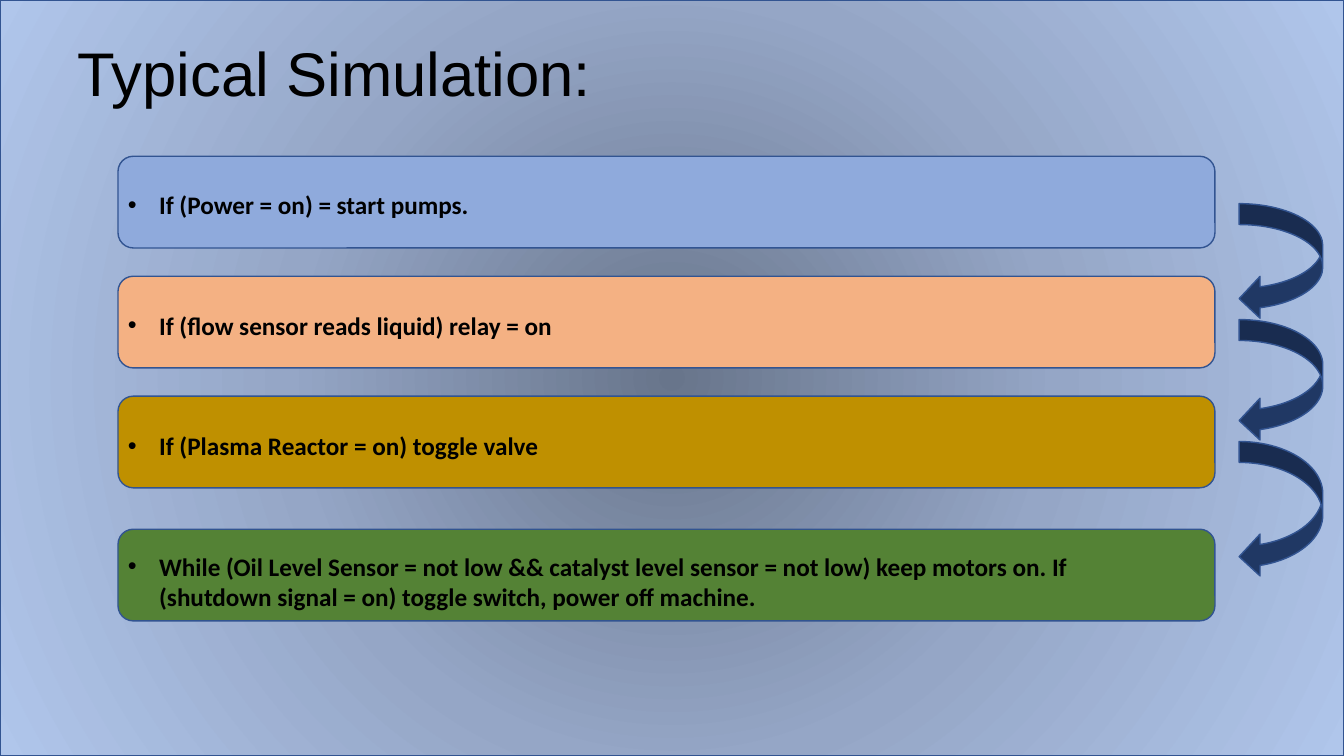
from lxml.etree import SubElement
from pptx import Presentation
from pptx.dml.color import RGBColor
from pptx.enum.shapes import MSO_SHAPE
from pptx.enum.text import MSO_ANCHOR, PP_ALIGN
from pptx.oxml import parse_xml
from pptx.oxml.ns import nsdecls, qn
from pptx.util import Inches, Pt

HEADING = "Typical Simulation:"
STEPS = [
    {"text": "If (Power = on) = start pumps.", "color": "8FAADC", "top": 1.55},
    {"text": "If (flow sensor reads liquid) relay = on", "color": "F4B183", "top": 2.74},
    {"text": "If (Plasma Reactor = on) toggle valve", "color": "BF9000", "top": 3.93},
    {
        "text": "While (Oil Level Sensor = not low && catalyst level sensor = not low) "
                "keep motors on. If (shutdown signal = on) toggle switch, power off machine.",
        "color": "548235",
        "top": 5.25,
    },
]
ARROW_EDGES = [2.02, 3.17, 4.38, 5.73]
THEME = {
    "outline": "325491",
    "arrow": "203864",
    "ink": "000000",
    "glow": [(0, "68758B"), (50, "95A6C6"), (100, "B0C6EB")],
    "heading": {"name": "Arial", "size": Pt(44), "bold": False},
    "step": {"name": "Calibri", "size": Pt(18), "bold": True},
}
SLIDE_SIZE = (13.33, 7.5)
CARD_LEFT, CARD_WIDTH, CARD_HEIGHT = 1.17, 10.88, 0.91
STEP_GAP = Pt(64.5)


def set_all(target, values):
    for attribute, value in values.items():
        setattr(target, attribute, value)


def style_font(font, values):
    set_all(font, values)
    font.color.rgb = RGBColor.from_string(THEME["ink"])


def add_block(slide, preset, box, color):
    block = slide.shapes.add_shape(preset, *map(Inches, box))
    block.shadow.inherit = False
    block.fill.solid()
    block.fill.fore_color.rgb = RGBColor.from_string(color)
    block.line.color.rgb = RGBColor.from_string(THEME["outline"])
    block.line.width = Pt(1)
    return block


def apply_glow(block):
    stops = "".join(
        f'<a:gs pos="{position * 1000}"><a:srgbClr val="{color}"/></a:gs>'
        for position, color in THEME["glow"]
    )
    gradient = parse_xml(
        f'<a:gradFill {nsdecls("a")} rotWithShape="1"><a:gsLst>{stops}</a:gsLst>'
        '<a:path path="circle"><a:fillToRect l="50000" t="50000" r="50000" b="50000"/>'
        "</a:path></a:gradFill>"
    )
    properties = block._element.spPr
    properties.replace(properties.find(qn("a:solidFill")), gradient)


def add_bullet(paragraph):
    properties = paragraph._p.get_or_add_pPr()
    properties.set("marL", str(Inches(0.31)))
    properties.set("indent", str(-Inches(0.31)))
    SubElement(properties, qn("a:buFont")).set("typeface", "Arial")
    SubElement(properties, qn("a:buChar")).set("char", "•")


def add_heading(slide):
    heading = slide.shapes.title
    set_all(heading, {"left": Inches(0.67), "top": Inches(0.29),
                      "width": Inches(10.29), "height": Inches(0.84)})
    heading.text_frame.text = HEADING
    heading.text_frame.vertical_anchor = MSO_ANCHOR.BOTTOM
    line = heading.text_frame.paragraphs[0]
    line.alignment = PP_ALIGN.LEFT
    style_font(line.runs[0].font, THEME["heading"])
    return heading


def add_steps(slide):
    listing = slide.shapes.add_textbox(*map(Inches, (CARD_LEFT, 1.83, 10.42, 4.33)))
    frame = listing.text_frame
    frame.word_wrap = True
    frame.text = "\n".join(step["text"] for step in STEPS)
    for index, paragraph in enumerate(frame.paragraphs):
        paragraph.space_before = STEP_GAP if index else Pt(0)
        add_bullet(paragraph)
        style_font(paragraph.runs[0].font, THEME["step"])


def main():
    deck = Presentation()
    deck.slide_width, deck.slide_height = map(Inches, SLIDE_SIZE)
    slide = deck.slides.add_slide(deck.slide_layouts[5])

    heading = add_heading(slide)
    backdrop = add_block(slide, MSO_SHAPE.RECTANGLE, (0, 0, *SLIDE_SIZE), THEME["outline"])
    apply_glow(backdrop)
    heading._element.addprevious(backdrop._element)

    for step in STEPS:
        card = (CARD_LEFT, step["top"], CARD_WIDTH, CARD_HEIGHT)
        add_block(slide, MSO_SHAPE.ROUNDED_RECTANGLE, card, step["color"])
    add_steps(slide)

    for top, bottom in zip(ARROW_EDGES, ARROW_EDGES[1:]):
        arrow = (12.29, top, 0.83, bottom - top)
        add_block(slide, MSO_SHAPE.CURVED_LEFT_ARROW, arrow, THEME["arrow"])

    deck.save("out.pptx")


if __name__ == "__main__":
    main()
